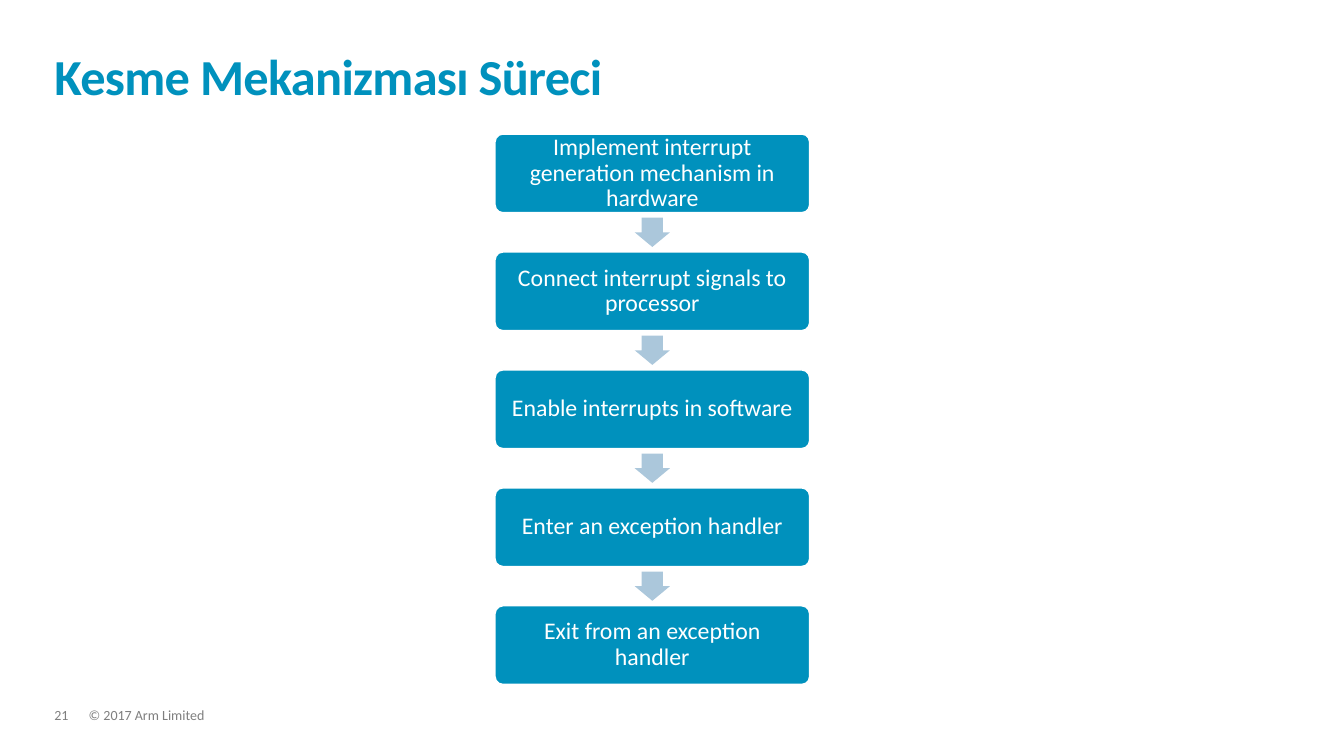
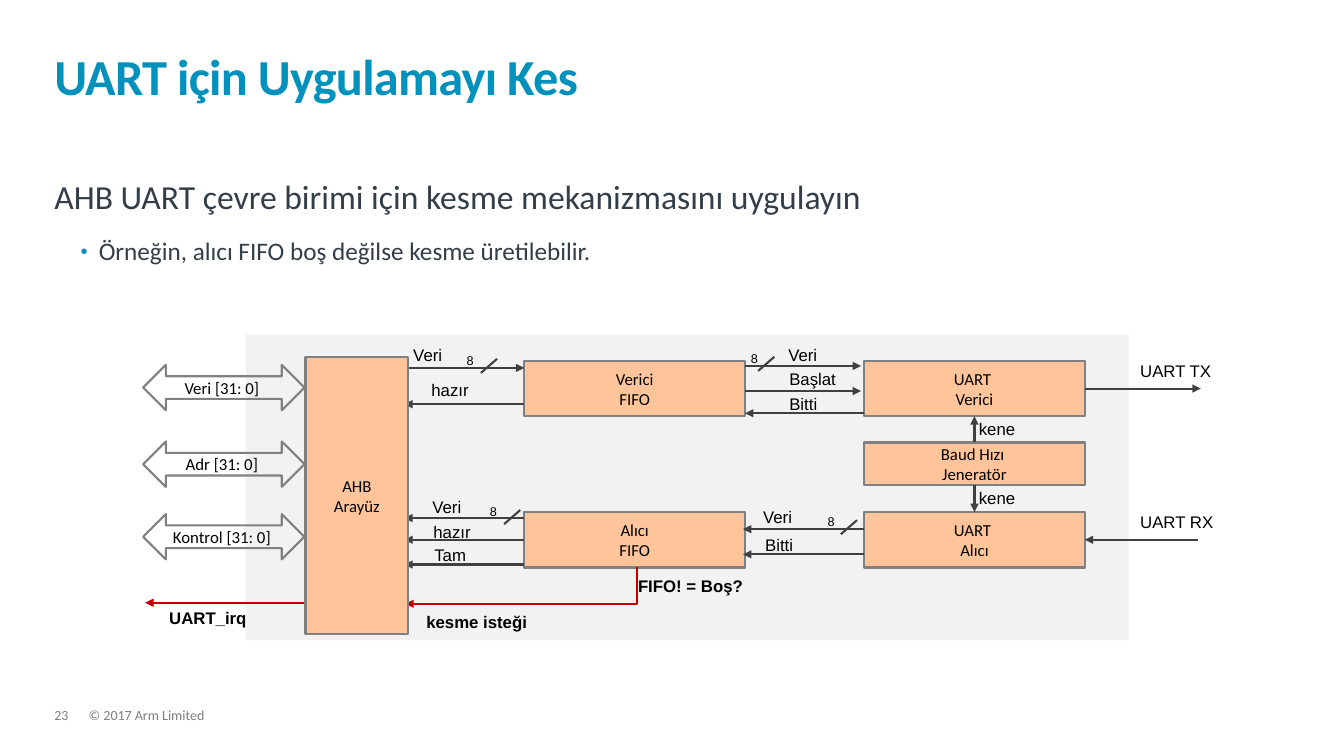
from dataclasses import dataclass

from pptx import Presentation
from pptx.dml.color import RGBColor
from pptx.enum.shapes import MSO_CONNECTOR, MSO_SHAPE
from pptx.enum.text import MSO_ANCHOR, PP_ALIGN
from pptx.oxml.ns import qn
from pptx.util import Inches, Pt
from lxml.etree import SubElement


@dataclass(frozen=True)
class Theme:
    accent: str = "0091BD"
    body: str = "333E48"
    muted: str = "7F7F7F"
    white: str = "FFFFFF"
    black: str = "000000"
    flow_arrow: str = "ABC7DB"
    panel: str = "F2F2F2"
    block: str = "FFC499"
    outline: str = "808080"
    signal: str = "404040"
    interrupt: str = "C00000"
    font: str = "Calibri"
    label_font: str = "Arial"
    title_size: float = 36
    lead_size: float = 24
    bullet_size: float = 18
    step_size: float = 17
    label_size: float = 12
    footer_size: float = 10
    width_size: float = 9
    stroke: float = 1.5


@dataclass(frozen=True)
class Box:
    left: float
    top: float
    width: float
    height: float

    def inner(self, x, y, width, height):
        return Box(self.left + x, self.top + y, width, height)

    def lengths(self):
        return [Inches(v) for v in (self.left, self.top, self.width, self.height)]


THEME = Theme()
TITLE = Box(0.54, 0.32, 12.23, 0.73)
BODY = Box(0.54, 1.79, 12.23, 1.2)
FOOTER = Box(0.54, 7.03, 9.47, 0.15)
FLOW = Box(4.91, 1.33, 3.12, 5.46)
DIAGRAM = Box(1.42, 3.32, 11.18, 3.03)


def rgb(value):
    return RGBColor.from_string(value)


def write(frame, *lines, size=THEME.label_size, color=THEME.black, font=THEME.font,
          bold=False, align=PP_ALIGN.LEFT, anchor=MSO_ANCHOR.TOP, wrap=True,
          inset=(0, 0), spacing=1.0, after=0, tracking=None, bullet=False, fresh=True):
    if fresh:
        frame.word_wrap = wrap
        frame.vertical_anchor = anchor
        frame.margin_left = frame.margin_right = Inches(inset[0])
        frame.margin_top = frame.margin_bottom = Inches(inset[1])
    for index, line in enumerate(lines):
        paragraph = frame.paragraphs[0] if fresh and index == 0 else frame.add_paragraph()
        if bullet:
            add_bullet(paragraph)
        paragraph.alignment = align
        paragraph.line_spacing = spacing
        paragraph.space_after = Pt(after)
        run = paragraph.add_run()
        run.text = line
        run.font.name = font
        run.font.size = Pt(size)
        run.font.bold = bold
        run.font.color.rgb = rgb(color)
        if tracking is not None:
            run.font._element.set("spc", str(tracking))


def add_bullet(paragraph):
    properties = paragraph._p.get_or_add_pPr()
    properties.set("lvl", "1")
    properties.set("marL", str(Inches(0.44)))
    properties.set("indent", str(Inches(-0.18)))
    color = SubElement(properties, qn("a:buClr"))
    SubElement(color, qn("a:srgbClr")).set("val", THEME.accent)
    SubElement(properties, qn("a:buSzPct")).set("val", "80000")
    SubElement(properties, qn("a:buFont")).set("typeface", "Arial")
    SubElement(properties, qn("a:buChar")).set("char", "•")


def add_text(slide, box, *lines, **style):
    frame = slide.shapes.add_textbox(*box.lengths()).text_frame
    write(frame, *lines, **style)
    return frame


def add_block(slide, kind, box, fill=None, line=None, weight=THEME.stroke, adjust=()):
    block = slide.shapes.add_shape(kind, *box.lengths())
    block.shadow.inherit = False
    for index, value in enumerate(adjust):
        block.adjustments[index] = value
    if fill:
        block.fill.solid()
        block.fill.fore_color.rgb = rgb(fill)
    else:
        block.fill.background()
    if line:
        block.line.color.rgb = rgb(line)
        block.line.width = Pt(weight)
    else:
        block.line.fill.background()
    return block


def add_line(slide, box, x1, y1, x2, y2, color=THEME.signal, arrow=True,
             kind=MSO_CONNECTOR.STRAIGHT, begin=None, end=None):
    line = slide.shapes.add_connector(
        kind, Inches(box.left + x1), Inches(box.top + y1),
        Inches(box.left + x2), Inches(box.top + y2))
    line.line.color.rgb = rgb(color)
    line.line.width = Pt(THEME.stroke)
    if arrow:
        SubElement(line.line._get_or_add_ln(), qn("a:tailEnd")).set("type", "triangle")
    SubElement(line._element.spPr, qn("a:effectLst"))
    if begin:
        line.begin_connect(*begin)
    if end:
        line.end_connect(*end)
    return line


def add_down_left_elbow(slide, box, x1, y1, x2, y2, color):
    across, down = x1 - x2, y2 - y1
    left = (x1 + x2 - down) / 2
    top = (y1 + y2 - across) / 2
    elbow = add_line(slide, box, left, top, left + down, top + across,
                     color=color, kind=MSO_CONNECTOR.ELBOW)
    properties = elbow._element.spPr
    properties.find(qn("a:xfrm")).set("rot", "5400000")
    properties.find(qn("a:prstGeom")).set("prst", "bentConnector2")


def add_base(deck, title, number):
    slide = deck.slides.add_slide(deck.slide_layouts[6])
    footer = dict(size=THEME.footer_size, color=THEME.muted, spacing=0.9)
    add_text(slide, FOOTER.inner(0.34, 0, 9.13, 0.15), "© 2017 Arm Limited", **footer)
    add_text(slide, FOOTER.inner(0, 0, 0.34, 0.15), number, **footer)
    add_text(slide, TITLE, title, size=THEME.title_size, color=THEME.accent, bold=True,
             anchor=MSO_ANCHOR.BOTTOM, spacing=0.85, tracking=-50)
    return slide


def draw_flow(slide, box, steps):
    step_height = 0.78
    pitch = (box.height - step_height) / (len(steps) - 1)
    arrow_width, arrow_height = 0.35, 0.29
    for index, step in enumerate(steps):
        y = index * pitch
        block = add_block(slide, MSO_SHAPE.ROUNDED_RECTANGLE,
                          box.inner(0, y, box.width, step_height),
                          THEME.accent, THEME.white, 1, (0.1,))
        write(block.text_frame, step, size=THEME.step_size, color=THEME.white,
              align=PP_ALIGN.CENTER, anchor=MSO_ANCHOR.MIDDLE, inset=(0.1, 0.07),
              spacing=0.9)
        if index < len(steps) - 1:
            gap = pitch - step_height
            add_block(slide, MSO_SHAPE.DOWN_ARROW,
                      box.inner((box.width - arrow_width) / 2,
                                y + step_height + (gap - arrow_height) / 2,
                                arrow_width, arrow_height),
                      THEME.flow_arrow, adjust=(0.6, 0.5))


def draw_body(slide, box, lead, detail):
    frame = add_text(slide, box, lead, size=THEME.lead_size, color=THEME.body,
                     spacing=0.9, after=16)
    write(frame, detail, size=THEME.bullet_size, color=THEME.body, spacing=0.9,
          after=12, bullet=True, fresh=False)


def draw_unit(slide, box, *lines, kind=MSO_SHAPE.RECTANGLE, fill=THEME.block):
    unit = add_block(slide, kind, box, fill, THEME.outline)
    write(unit.text_frame, *lines, align=PP_ALIGN.CENTER, anchor=MSO_ANCHOR.MIDDLE,
          wrap=False, inset=(0.1, 0.05))
    return unit


def draw_uart(slide, box):
    bus_right, ahb_x, ahb_right, ahb_tip = 1.6, 1.61, 2.63, 2.59
    fifo_x, uart_x, unit_width, unit_height = 3.78, 7.15, 2.19, 0.55
    fifo_right, uart_right = fifo_x + unit_width, uart_x + unit_width
    send_y, receive_y = 0.26, 1.76
    receive_mid = receive_y + unit_height / 2
    send_mid = send_y + unit_height / 2
    uart_mid = uart_x + unit_width / 2

    add_block(slide, MSO_SHAPE.RECTANGLE, box.inner(1.02, 0, 8.76, box.height), THEME.panel)

    def unit(x, y, *lines, height=unit_height):
        return draw_unit(slide, box.inner(x, y, unit_width, height), *lines)

    sender = unit(uart_x, send_y, "UART ", "Verici")
    receiver = unit(uart_x, receive_y, "UART ", "Alıcı")
    baud = unit(uart_x, 1.07, "Baud Hızı ", "Jeneratör", height=0.42)
    unit(fifo_x, send_y, "Verici", "FIFO")
    receive_fifo = unit(fifo_x, receive_y, "Alıcı", "FIFO")

    for x1, x2, y in [
        (ahb_right, fifo_x, 0.33), (fifo_x, ahb_tip, 0.69),
        (fifo_x, ahb_tip, 1.82), (fifo_x, ahb_tip, 2.28),
        (fifo_right, uart_x - 0.03, 0.31), (fifo_right, uart_x - 0.03, 0.56),
        (uart_x, fifo_right, 0.78),
        (uart_x, fifo_right - 0.02, 1.93), (uart_x, fifo_right - 0.02, 2.18),
    ]:
        add_line(slide, box, x1, y, x2, y)
    add_line(slide, box, fifo_x, receive_mid, ahb_tip, receive_mid, begin=(receive_fifo, 1))
    add_line(slide, box, uart_right, send_mid, 10.49, send_mid, begin=(sender, 3))
    add_line(slide, box, 10.46, receive_mid, uart_right, receive_mid, end=(receiver, 3))
    add_line(slide, box, uart_mid, 1.07, uart_mid, send_y + unit_height,
             begin=(baud, 0), end=(sender, 2))
    add_line(slide, box, uart_mid, 1.49, uart_mid, receive_y,
             begin=(baud, 2), end=(receiver, 0))

    label = dict(font=THEME.label_font, inset=(0.1, 0.05))
    for x, y, name in [
        (9.79, 0.21, "UART TX"), (9.79, 1.71, "UART RX"),
        (6.3, 0.05, "Veri"), (6.31, 0.29, "Başlat"), (6.31, 0.54, "Bitti"),
        (8.19, 0.79, "kene"), (8.19, 1.47, "kene"),
        (2.58, 0.05, "Veri"), (2.76, 0.4, "hazır"),
        (6.05, 1.66, "Veri"), (6.07, 1.94, "Bitti"),
        (2.77, 1.56, "Veri"), (2.78, 1.81, "hazır"), (2.79, 2.04, "Tam"),
    ]:
        add_text(slide, box.inner(x, y, 1.39, 0.3), name, **label)

    for x, y, offset in [(6.1, 0.36, 0.17), (6.92, 1.98, 0.23),
                         (3.35, 0.38, 0.24), (3.58, 1.88, 0.24)]:
        add_line(slide, box, x, y, x + 0.16, y - 0.14, arrow=False)
        add_text(slide, box.inner(x - offset, y - 0.25, 0.56, 0.25), "8",
                 size=THEME.width_size, **label)

    for y, bus in [(0.3, "Veri [31: 0] "), (1.06, "Adr [31: 0] "), (1.78, "Kontrol [31: 0] ")]:
        draw_unit(slide, box.inner(0, y, bus_right, 0.45), bus,
                  kind=MSO_SHAPE.LEFT_RIGHT_ARROW, fill=None)

    add_down_left_elbow(slide, box, 4.9, receive_y + unit_height, 2.6, 2.67, THEME.interrupt)
    add_line(slide, box, ahb_x, 2.66, 0.02, 2.66, color=THEME.interrupt)
    for x, y, name in [(4.81, 2.34, "FIFO! = Boş?"), (2.71, 2.7, "kesme isteği"),
                       (0.16, 2.66, "UART_irq")]:
        add_text(slide, box.inner(x, y, 1.9, 0.3), name, bold=True, **label)

    draw_unit(slide, box.inner(ahb_x, 0.22, ahb_right - ahb_x, 2.75), "AHB", "Arayüz")


def main():
    deck = Presentation()
    deck.slide_width, deck.slide_height = Inches(13.33), Inches(7.5)

    process = add_base(deck, "Kesme Mekanizması Süreci", "21")
    draw_flow(process, FLOW, [
        "Implement interrupt generation mechanism in hardware",
        "Connect interrupt signals to processor",
        "Enable interrupts in software",
        "Enter an exception handler",
        "Exit from an exception handler",
    ])

    uart = add_base(deck, "UART için Uygulamayı Kes", "23")
    draw_body(uart, BODY, "AHB UART çevre birimi için kesme mekanizmasını uygulayın",
              "Örneğin, alıcı FIFO boş değilse kesme üretilebilir.")
    draw_uart(uart, DIAGRAM)

    deck.save("out.pptx")


if __name__ == "__main__":
    main()
